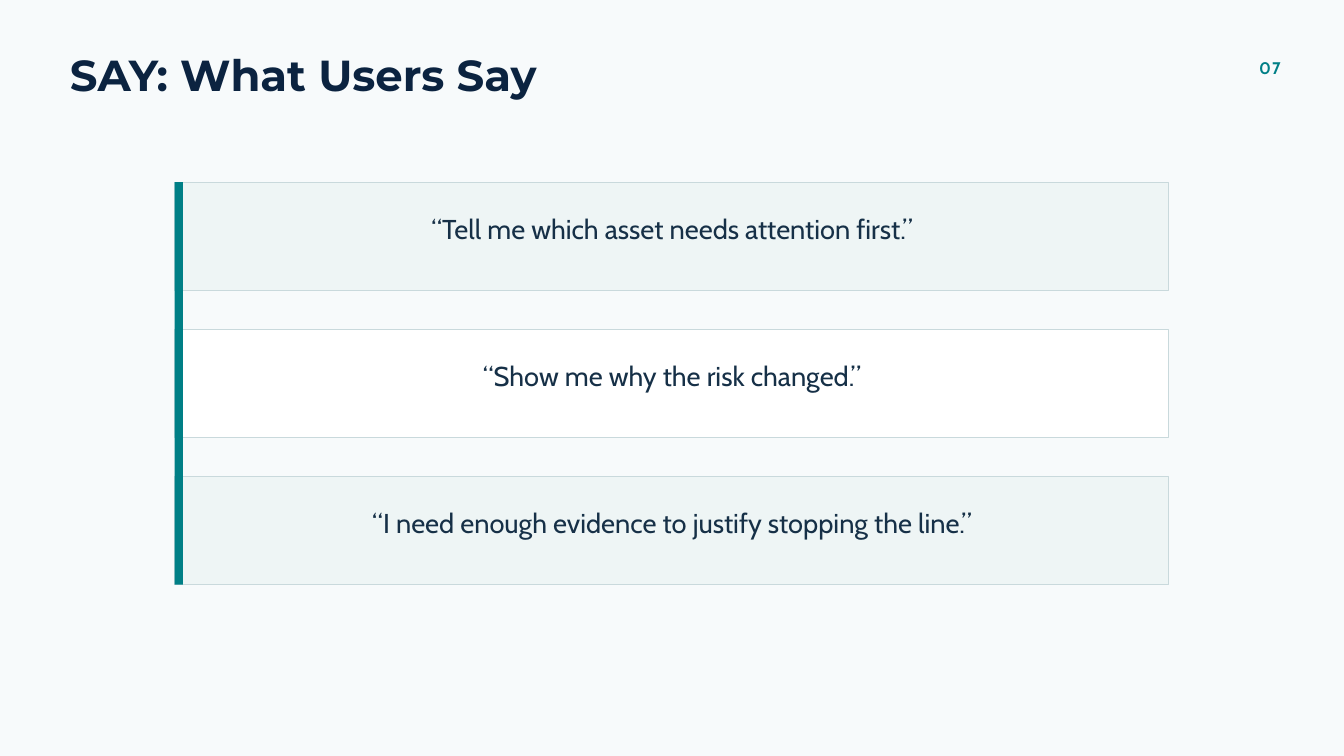
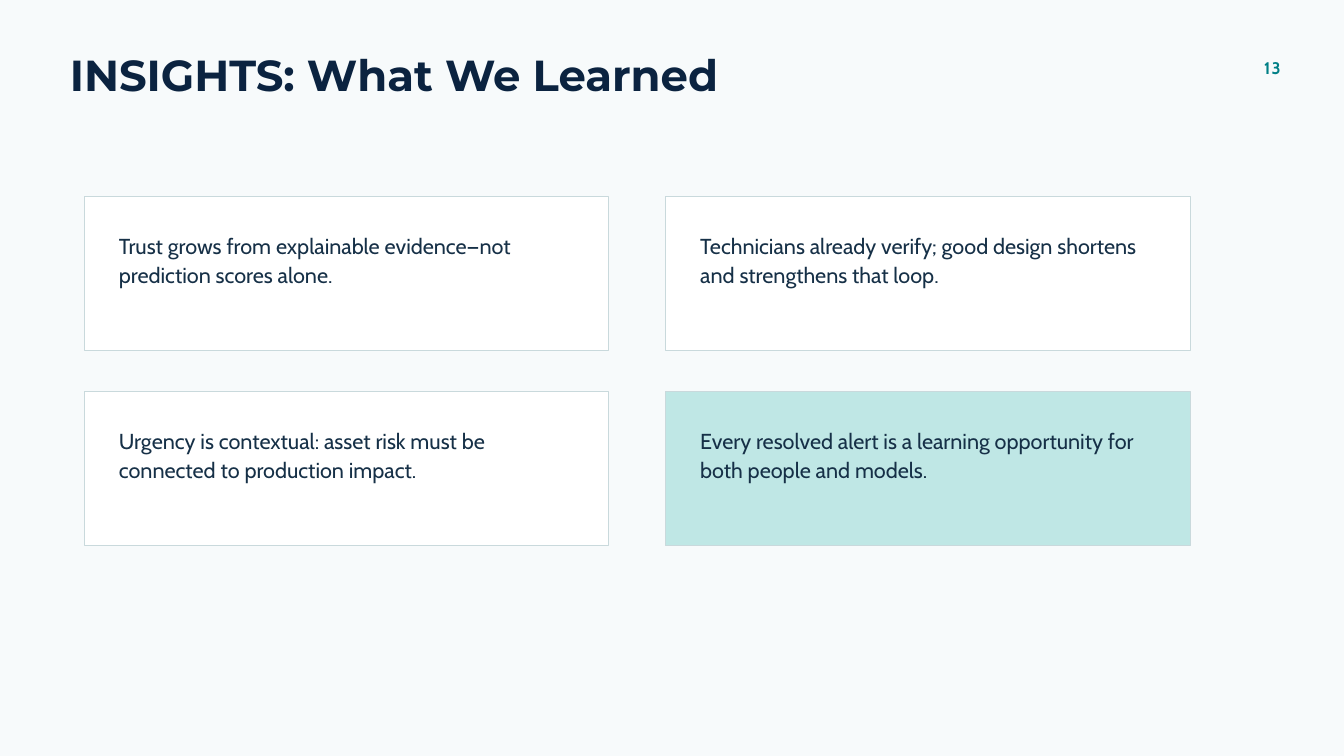
"""Build two user-research slides: what users say and what we learned."""
from pptx import Presentation
from pptx.dml.color import RGBColor
from pptx.enum.shapes import MSO_SHAPE as SHAPE
from pptx.enum.text import MSO_ANCHOR as ANCHOR, MSO_AUTO_SIZE as AUTO, PP_ALIGN as ALIGN
from pptx.util import Inches, Pt

BG, NAVY, INK, TEAL = "F7FAFB", "0B2340", "163047", "007F86"
WHITE, MIST, AQUA, BORDER = "FFFFFF", "EEF5F5", "BFE7E5", "C9D9DC"


def add_rect(s, x, y, w, h, fill, border=None):
    sp = s.shapes.add_shape(SHAPE.RECTANGLE, Inches(x), Inches(y), Inches(w), Inches(h))
    sp.shadow.inherit = False
    sp.fill.solid()
    sp.fill.fore_color.rgb = RGBColor.from_string(fill)
    if border:
        sp.line.color.rgb = RGBColor.from_string(border)
        sp.line.width = Pt(0.75)
    else:
        sp.line.fill.background()


def write(sp, box, text, size, leading, color, font="Cabin", bold=False, align=ALIGN.LEFT):
    sp.left, sp.top, sp.width, sp.height = [Inches(v) for v in box]
    tf = sp.text_frame
    tf.text = text
    tf.word_wrap = True
    tf.auto_size = AUTO.NONE
    tf.vertical_anchor = ANCHOR.TOP
    tf.margin_left = tf.margin_right = tf.margin_top = tf.margin_bottom = 0
    p = tf.paragraphs[0]
    p.alignment = align
    p.line_spacing = Pt(leading)
    r = p.runs[0]
    r.font.name, r.font.size, r.font.bold = font, Pt(size), bold
    r.font.color.rgb = RGBColor.from_string(color)
    return r


prs = Presentation()
prs.slide_width, prs.slide_height = Inches(20), Inches(11.25)
bg = prs.slide_master.background.fill
bg.solid()
bg.fore_color.rgb = RGBColor.from_string(BG)

slides = []
for number, title in [("07", "SAY: What Users Say"), ("13", "INSIGHTS: What We Learned")]:
    s = prs.slides.add_slide(prs.slide_layouts[5])
    write(s.shapes.title, (1.04, 0.81, 15.62, 0.69), title, 46.5, 48.8, NAVY, "Montserrat", True)
    sp = s.shapes.add_textbox(0, 0, 0, 0)
    r = write(sp, (18.33, 0.81, 0.73, 0.34), number, 18, 25.2, TEAL, bold=True, align=ALIGN.RIGHT)
    r.font._element.set("spc", "140")
    slides.append(s)
say, insights = slides

quotes = [
    ("“Tell me which asset needs attention first.”", MIST),
    ("“Show me why the risk changed.”", WHITE),
    ("“I need enough evidence to justify stopping the line.”", MIST),
]
for i, (quote, fill) in enumerate(quotes):
    y = 2.71 + i * 2.19
    add_rect(say, 2.6, y, 14.79, 1.61, fill, BORDER)
    sp = say.shapes.add_textbox(0, 0, 0, 0)
    write(sp, (3.23, y + 0.38, 13.54, 0.52), quote, 29.2, 39.5, INK, align=ALIGN.CENTER)
add_rect(say, 2.6, 2.71, 0.12, 5.99, TEAL)

lessons = [
    ("Trust grows from explainable evidence—not prediction scores alone.", WHITE),
    ("Urgency is contextual: asset risk must be connected to production impact.", WHITE),
    ("Technicians already verify; good design shortens and strengthens that loop.", WHITE),
    ("Every resolved alert is a learning opportunity for both people and models.", AQUA),
]
for i, (lesson, fill) in enumerate(lessons):
    col, row = divmod(i, 2)
    x, y = 1.25 + col * 8.65, 2.92 + row * 2.91
    add_rect(insights, x, y, 7.81, 2.29, fill, BORDER)
    sp = insights.shapes.add_textbox(0, 0, 0, 0)
    write(sp, (x + 0.52, y + 0.49, 6.77, 0.84), lesson, 23.2, 31.4, INK)

prs.save("out.pptx")
